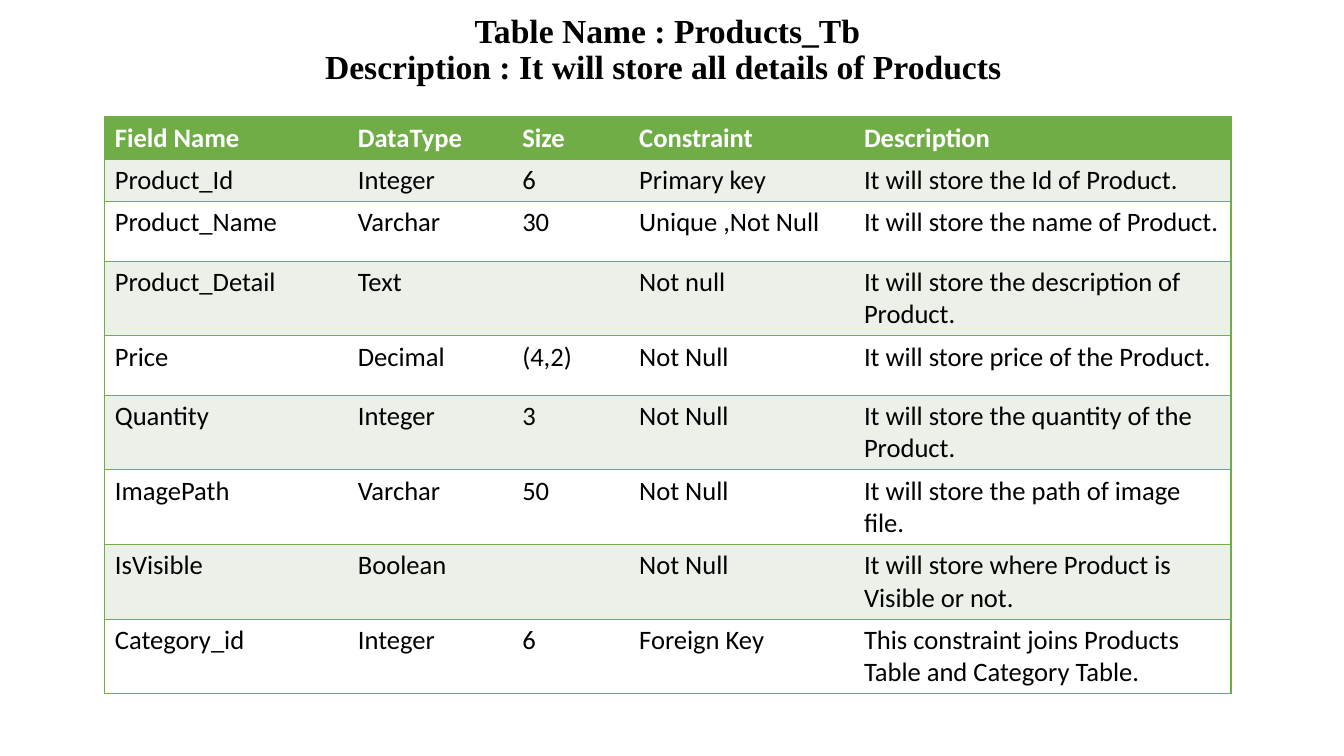
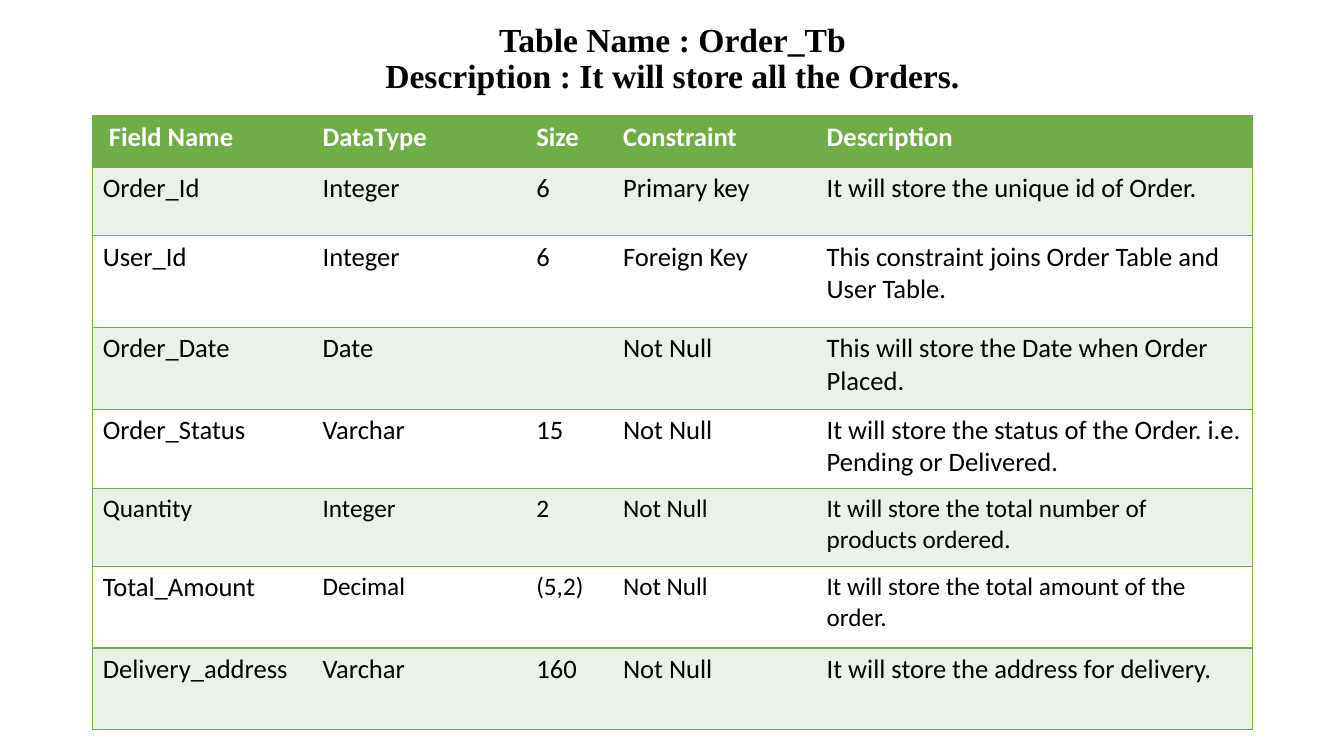
import pptx
import pptx.util
import pptx.dml.color
import pptx.enum.text
import pptx.oxml
import pptx.oxml.ns
from pptx.util import Inches

COLORS = {
    "green": "70AD47",
    "band": "EBF1E9",
    "white": "FFFFFF",
    "black": "000000",
}
TITLE_FONT, TABLE_FONT = "Times New Roman", "Calibri"
TITLE_SIZE, TABLE_SIZE, SMALL_SIZE = 24, 19, 18
ANCHOR = pptx.enum.text.MSO_ANCHOR

PRODUCT_ROWS = [
    ("Field Name", "DataType", "Size", "Constraint", "Description"),
    ("Product_Id", "Integer", "6", "Primary key", "It will store the Id of Product."),
    ("Product_Name", "Varchar", "30", "Unique ,Not Null", "It will store the name of Product."),
    ("Product_Detail", "Text", "", "Not null", "It will store the description of Product."),
    ("Price", "Decimal", "(4,2)", "Not Null", "It will store price of the Product."),
    ("Quantity", "Integer", "3", "Not Null", "It will store the quantity of the Product."),
    ("ImagePath", "Varchar", "50", "Not Null", "It will store the path of image file."),
    ("IsVisible", "Boolean", "", "Not Null", "It will store where Product is Visible or not."),
    ("Category_id", "Integer", "6", "Foreign Key",
     "This constraint joins Products Table and Category Table."),
]
ORDER_ROWS = [
    (" Field Name", "DataType", "Size", "Constraint", "Description"),
    ("Order_Id", "Integer", "6", "Primary key", "It will store the unique id of Order."),
    ("User_Id", "Integer", "6", "Foreign Key",
     "This constraint joins Order Table and User Table."),
    ("Order_Date", "Date", "", "Not Null", "This will store the Date when Order Placed."),
    ("Order_Status", "Varchar", "15", "Not Null",
     "It will store the status of the Order. i.e. Pending or Delivered."),
    ("Quantity", "Integer", "2", "Not Null",
     "It will store the total number of products ordered."),
    ("Total_Amount", "Decimal", "(5,2)", "Not Null",
     "It will store the total amount of the order."),
    ("Delivery_address", "Varchar", "160", "Not Null",
     "It will store the address for delivery."),
]
# Row and column of the order cells set in the smaller size
ORDER_SMALL = {(5, col) for col in range(5)} | {(6, col) for col in range(1, 5)}


def rgb(name):
    return pptx.dml.color.RGBColor.from_string(COLORS[name])


def style_runs(paragraph, font_name, size, color, bold):
    for run in paragraph.runs:
        run.font.name = font_name
        run.font.size = pptx.util.Pt(size)
        run.font.bold = bold
        run.font.color.rgb = rgb(color)


def set_borders(cell, visible):
    """Green lines on the visible sides (L, R, T, B), none on the others."""
    cell_properties = cell._tc.get_or_add_tcPr()
    for position, side in enumerate("LRTB"):
        paint = (f'<a:solidFill><a:srgbClr val="{COLORS["green"]}"/></a:solidFill>'
                 if side in visible else "<a:noFill/>")
        line = pptx.oxml.parse_xml(
            f'<a:ln{side} {pptx.oxml.ns.nsdecls("a")} w="12700">{paint}</a:ln{side}>')
        cell_properties.insert(position, line)


def add_title(slide, box, lines, anchor):
    title = slide.shapes.title
    title.left, title.top, title.width, title.height = map(Inches, box)
    frame = title.text_frame
    frame.text = "\v".join(lines)
    frame.word_wrap = True
    frame.auto_size = pptx.enum.text.MSO_AUTO_SIZE.NONE
    frame.vertical_anchor = anchor
    heading = frame.paragraphs[0]
    heading.alignment = pptx.enum.text.PP_ALIGN.CENTER
    heading.line_spacing = 0.9
    style_runs(heading, TITLE_FONT, TITLE_SIZE, "black", True)


def add_field_table(slide, box, rows, widths, heights, small=()):
    fields = slide.shapes.add_table(len(rows), len(widths), *map(Inches, box)).table
    for column, width in zip(fields.columns, widths):
        column.width = Inches(width)
    for row, height in zip(fields.rows, heights):
        row.height = Inches(height)

    for r, texts in enumerate(rows):
        header = r == 0
        fill = "green" if header else "band" if r % 2 else "white"
        for c, text in enumerate(texts):
            cell = fields.cell(r, c)
            cell.fill.solid()
            cell.fill.fore_color.rgb = rgb(fill)
            cell.text_frame.text = text
            size = SMALL_SIZE if (r, c) in small else TABLE_SIZE
            style_runs(cell.text_frame.paragraphs[0], TABLE_FONT, size,
                       "white" if header else "black", header)
            sides = "TB" + ("L" if c == 0 else "") + ("R" if c == len(texts) - 1 else "")
            set_borders(cell, sides)


def add_table_slide(deck, title, table):
    slide = deck.slides.add_slide(deck.slide_layouts.get_by_name("Title Only"))
    add_title(slide, **title)
    add_field_table(slide, **table)


def main():
    deck = pptx.Presentation()
    deck.slide_width, deck.slide_height = Inches(13.33), Inches(7.5)

    # Products table
    add_table_slide(
        deck,
        title=dict(box=(1.04, 0, 11.16, 0.91), anchor=ANCHOR.BOTTOM,
                   lines=("Table Name : Products_Tb",
                          "Description : It will store all details of Products ")),
        table=dict(box=(1.04, 1.16, 11.16, 5.67), rows=PRODUCT_ROWS,
                   widths=(2.41, 1.63, 1.16, 2.23, 3.74),
                   heights=(0.42, 0.42, 0.59, 0.73, 0.59, 0.73, 0.73, 0.73, 0.73)))

    # Orders table
    add_table_slide(
        deck,
        title=dict(box=(0.92, 0.03, 11.5, 1.12), anchor=ANCHOR.MIDDLE,
                   lines=("Table Name : Order_Tb",
                          "Description : It will store all the Orders.")),
        table=dict(box=(0.92, 1.15, 11.5, 6.1), rows=ORDER_ROWS,
                   widths=(2.18, 2.12, 0.86, 2.02, 4.32),
                   heights=(0.51, 0.68, 0.91, 0.81, 0.79, 0.77, 0.81, 0.81),
                   small=ORDER_SMALL))

    deck.save("out.pptx")


if __name__ == "__main__":
    main()
